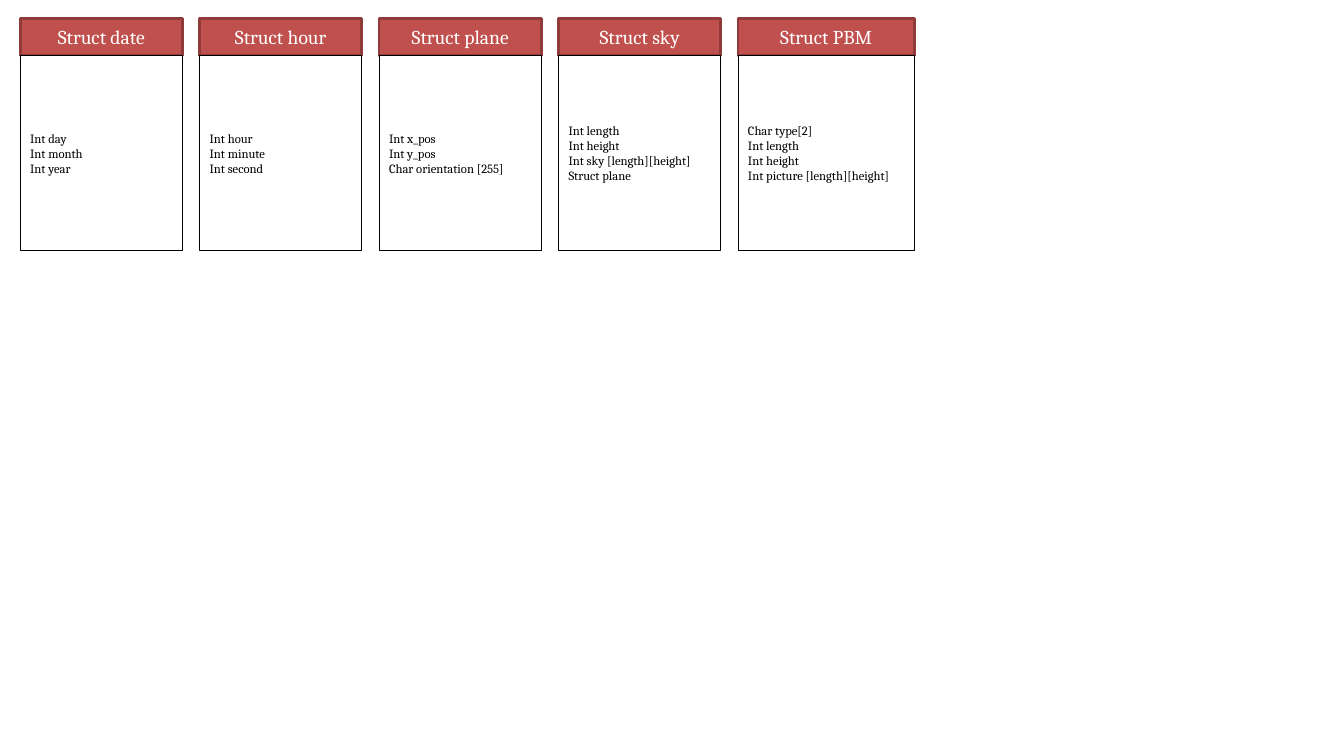
from pptx import Presentation
from pptx.dml.color import RGBColor
from pptx.enum.shapes import MSO_SHAPE
from pptx.enum.text import MSO_ANCHOR, PP_ALIGN
from pptx.util import Inches, Pt

# Content: struct name, box width, fields
STRUCTS = [
    ("Struct date", 1.61, ["Int day", "Int month", "Int year"]),
    ("Struct hour", 1.61, ["Int hour", "Int minute", "Int second"]),
    ("Struct plane", 1.61, ["Int x_pos", "Int y_pos", "Char orientation [255]"]),
    ("Struct sky", 1.61, ["Int length", "Int height", "Int sky [length][height]",
                          "Struct plane"]),
    ("Struct PBM", 1.75, ["Char type[2]", "Int length", "Int height",
                          "Int picture [length][height]"]),
]

# Layout and formats
LEFT, TOP, GAP = 0.2, 0.18, 0.17
HEADER = {"height": 0.37, "fill": "C0504D", "line": "8E3B39", "weight": 2,
          "size": 14, "color": "FFFFFF", "align": PP_ALIGN.CENTER}
BODY = {"height": 1.94, "fill": "FFFFFF", "line": "000000", "weight": 0.74,
        "size": 9, "color": "000000", "align": PP_ALIGN.LEFT}
FRAME = {"word_wrap": True, "vertical_anchor": MSO_ANCHOR.MIDDLE,
         "margin_left": Inches(0.1), "margin_right": Inches(0.1),
         "margin_top": Inches(0.05), "margin_bottom": Inches(0.05)}


def color(value):
    return RGBColor.from_string(value)


def add_box(page, left, top, width, lines, style):
    box = page.shapes.add_shape(MSO_SHAPE.RECTANGLE, Inches(left), Inches(top),
                                Inches(width), Inches(style["height"]))
    box.shadow.inherit = False
    box.fill.solid()
    box.fill.fore_color.rgb = color(style["fill"])
    box.line.color.rgb = color(style["line"])
    box.line.width = Pt(style["weight"])
    frame = box.text_frame
    for name, value in FRAME.items():
        setattr(frame, name, value)
    for index, line in enumerate(lines):
        para = frame.add_paragraph() if index else frame.paragraphs[0]
        para.alignment = style["align"]
        span = para.add_run()
        span.text = line
        span.font.name = "Cambria"
        span.font.size = Pt(style["size"])
        span.font.color.rgb = color(style["color"])


deck = Presentation()
deck.slide_width, deck.slide_height = Inches(13.33), Inches(7.5)
page = deck.slides.add_slide(deck.slide_layouts[6])

# Struct cards, side by side: header above its fields
left = LEFT
for name, width, fields in STRUCTS:
    add_box(page, left, TOP, width, [name], HEADER)
    add_box(page, left, TOP + HEADER["height"], width, fields, BODY)
    left += width + GAP

deck.save("out.pptx")
